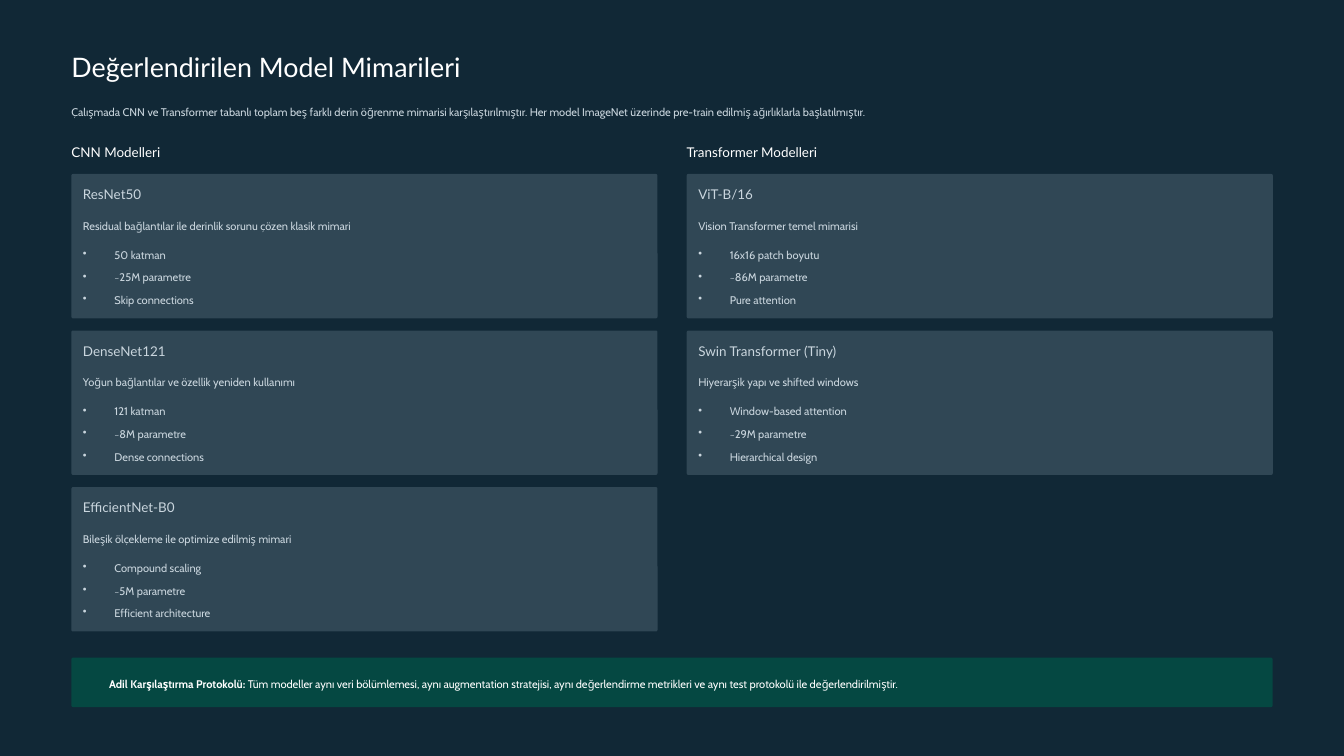
import pptx
import pptx.util
import pptx.dml.color
import pptx.enum.shapes
import pptx.oxml
import pptx.oxml.ns

Pt = pptx.util.Pt
RGBColor = pptx.dml.color.RGBColor

NAVY = RGBColor(0x11, 0x28, 0x36)
SLATE = RGBColor(0x30, 0x47, 0x55)
GREEN = RGBColor(0x05, 0x48, 0x42)
WHITE = RGBColor(0xFF, 0xFF, 0xFF)
MIST = RGBColor(0xCA, 0xD6, 0xDE)

# Font name, size and line height
TITLE = ("Lato", 23, 29)
HEADING = ("Lato", 11.5, 14.5)
BODY = ("Cabin", 9.5, 15.5)

LEFT, WIDTH = 61.2, 1029.6
COLUMN_WIDTH, COLUMN_GAP = 502.4, 25
CARD_HEIGHT, CARD_PITCH = 123.8, 134.2
CARD_PADDING = 9.9
BULLET_INDENT = 27

COLUMNS = [
    ("CNN Modelleri", [
        ("ResNet50",
         "Residual bağlantılar ile derinlik sorunu çözen klasik mimari",
         ["50 katman", "~25M parametre", "Skip connections"]),
        ("DenseNet121",
         "Yoğun bağlantılar ve özellik yeniden kullanımı",
         ["121 katman", "~8M parametre", "Dense connections"]),
        ("EfficientNet-B0",
         "Bileşik ölçekleme ile optimize edilmiş mimari",
         ["Compound scaling", "~5M parametre", "Efficient architecture"]),
    ]),
    ("Transformer Modelleri", [
        ("ViT-B/16",
         "Vision Transformer temel mimarisi",
         ["16x16 patch boyutu", "~86M parametre", "Pure attention"]),
        ("Swin Transformer (Tiny)",
         "Hiyerarşik yapı ve shifted windows",
         ["Window-based attention", "~29M parametre", "Hierarchical design"]),
    ]),
]


def add_bullet(para):
    properties = para._p.get_or_add_pPr()
    properties.set("marL", str(Pt(BULLET_INDENT)))
    properties.set("indent", str(-Pt(BULLET_INDENT)))
    properties.append(pptx.oxml.parse_xml(
        '<a:buChar %s char="•"/>' % pptx.oxml.ns.nsdecls("a")))


def add_text(page, left, top, width, lines, style, color, bullets=False):
    """Each line is a list of (text, bold) spans."""
    name, size, line_height = style
    height = line_height * len(lines)
    box = page.shapes.add_textbox(Pt(left), Pt(top), Pt(width), Pt(height))
    frame = box.text_frame
    frame.word_wrap = True
    frame.margin_left = frame.margin_right = 0
    frame.margin_top = frame.margin_bottom = 0
    for index, spans in enumerate(lines):
        para = frame.add_paragraph() if index else frame.paragraphs[0]
        if bullets:
            add_bullet(para)
        para.line_spacing = Pt(line_height)
        if index:
            para.space_before = Pt(3.9)
        para.font.name = name
        para.font.size = Pt(size)
        para.font.color.rgb = color
        for text, bold in spans:
            span = para.add_run()
            span.text = text
            if bold:
                span.font.bold = True


def add_panel(page, left, top, width, height, color, rounding):
    panel = page.shapes.add_shape(
        pptx.enum.shapes.MSO_SHAPE.ROUNDED_RECTANGLE,
        Pt(left), Pt(top), Pt(width), Pt(height))
    panel.adjustments[0] = rounding
    panel.shadow.inherit = False
    panel.fill.solid()
    panel.fill.fore_color.rgb = color
    panel.line.fill.background()


def add_header(page, left, top, width):
    add_text(page, left, top, width,
             [[("Değerlendirilen Model Mimarileri", False)]], TITLE, WHITE)
    summary = (
        "Çalışmada CNN ve Transformer tabanlı toplam beş farklı derin öğrenme "
        "mimarisi karşılaştırılmıştır. Her model ImageNet üzerinde pre-train "
        "edilmiş ağırlıklarla başlatılmıştır.")
    add_text(page, left, top + 44.6, width, [[(summary, False)]], BODY, MIST)


def add_card(page, left, top, width, model):
    name, description, features = model
    add_panel(page, left, top, width, CARD_HEIGHT, SLATE, 0.012)
    inner_left = left + CARD_PADDING
    inner_width = width - 2 * CARD_PADDING
    add_text(page, inner_left, top + CARD_PADDING, inner_width,
             [[(name, False)]], HEADING, MIST)
    add_text(page, inner_left, top + 34.7, inner_width,
             [[(description, False)]], BODY, MIST)
    add_text(page, inner_left, top + 59.6, inner_width,
             [[(feature, False)] for feature in features], BODY, MIST, True)


def add_column(page, left, top, width, heading, models):
    add_text(page, left, top, width, [[(heading, False)]], HEADING, WHITE)
    for row, model in enumerate(models):
        add_card(page, left, top + 26 + row * CARD_PITCH, width, model)


def add_protocol(page, left, top, width, height):
    add_panel(page, left, top, width, height, GREEN, 0.035)
    spans = [
        ("Adil Karşılaştırma Protokolü:", True),
        (" Tüm modeller aynı veri bölümlemesi, aynı augmentation stratejisi, "
         "aynı değerlendirme metrikleri ve aynı test protokolü ile "
         "değerlendirilmiştir.", False),
    ]
    add_text(page, left + 32.4, top + 12.4, width - 42.3, [spans], BODY, WHITE)


def main():
    deck = pptx.Presentation()
    deck.slide_width, deck.slide_height = Pt(1152), Pt(648)
    page = deck.slides.add_slide(deck.slide_layouts[6])
    page.background.fill.solid()
    page.background.fill.fore_color.rgb = NAVY

    add_header(page, LEFT, 41.8, WIDTH)
    for index, (heading, models) in enumerate(COLUMNS):
        column_left = LEFT + index * (COLUMN_WIDTH + COLUMN_GAP)
        add_column(page, column_left, 123.1, COLUMN_WIDTH, heading, models)
    add_protocol(page, LEFT, 563.7, WIDTH, 42.4)
    deck.save("out.pptx")


if __name__ == "__main__":
    main()
